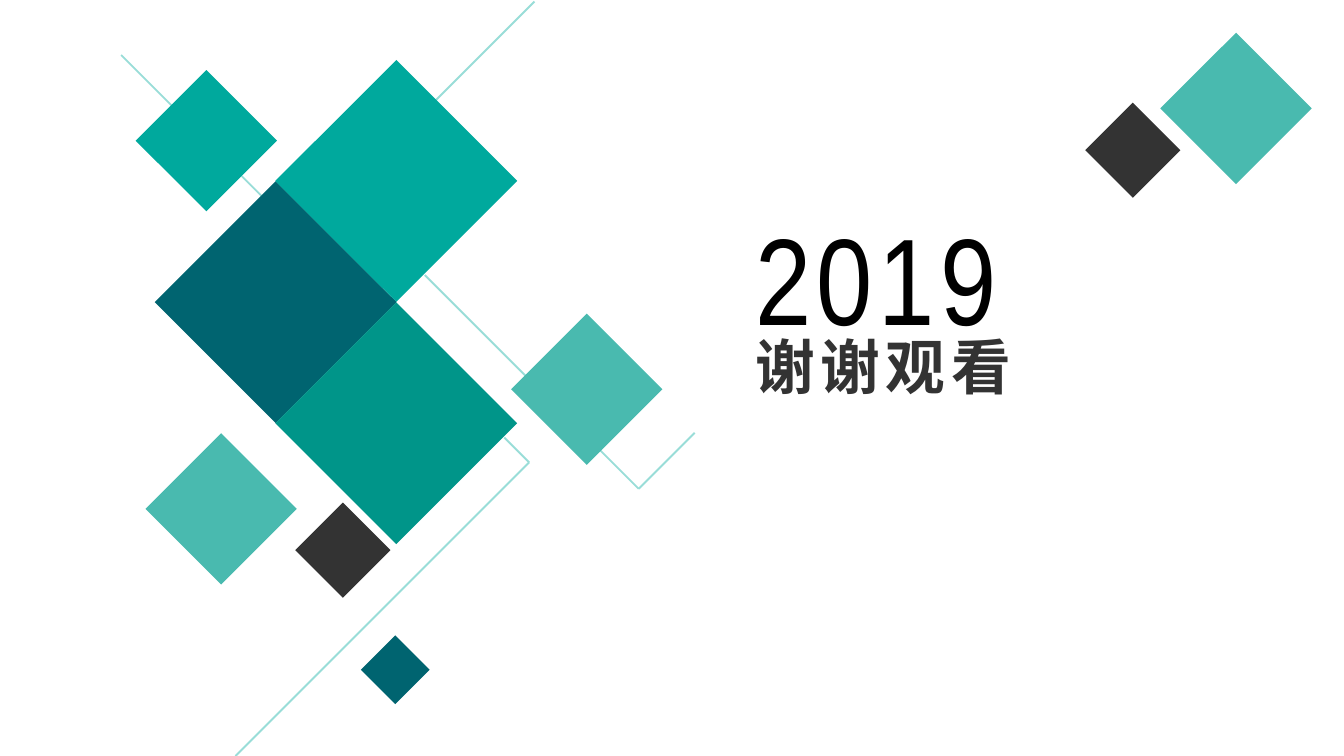
import pptx
import pptx.util
import pptx.dml.color
import pptx.enum.shapes
import pptx.enum.text
import lxml.etree

Cm = pptx.util.Cm
Pt = pptx.util.Pt
kinds = pptx.enum.shapes

theme = {
    "deep": "006470", "teal": "00A99D", "green": "009589",
    "pale": "49BAAF", "dark": "333333", "line": "99DDD8", "black": "000000",
    "year": 66, "thanks": 32, "space": 3,
    "latin": "Arial Narrow", "han": "Noto Sans CJK SC",
}


def shade(name):
    return pptx.dml.color.RGBColor.from_string(theme[name])


def write(text, *, box, size, font, color, bold=False):
    shape = slide.shapes.add_textbox(*map(Cm, box))
    frame = shape.text_frame
    frame.word_wrap = True
    frame.auto_size = pptx.enum.text.MSO_AUTO_SIZE.SHAPE_TO_FIT_TEXT
    run = frame.paragraphs[0].add_run()
    run.text = text
    run.font.size = Pt(theme[size])
    run.font.name = theme[font]
    run.font.bold = bold
    run.font.color.rgb = shade(color)
    props = run.font._element
    props.set("spc", str(theme["space"] * 100))
    east = lxml.etree.SubElement(props, pptx.oxml.ns.qn("a:ea"))
    east.set("typeface", theme[font])


deck = pptx.Presentation()
deck.slide_width = Cm(25.4)
deck.slide_height = Cm(14.29)
slide = deck.slides.add_slide(deck.slide_layouts[6])

trails = [
    [(8.03, 5.2), (12.07, 9.24), (13.13, 8.18)],
    [(10.1, 0.03), (8.23, 1.9)],
    [(9.53, 8.27), (10, 8.74), (4.45, 14.29)],
    [(4.57, 3.33), (4.94, 3.7)],
    [(2.29, 1.04), (3.25, 2)],
]
for trail in trails:
    for start, end in zip(trail, trail[1:]):
        line = slide.shapes.add_connector(
            kinds.MSO_CONNECTOR.STRAIGHT, *map(Cm, start + end))
        line.line.color.rgb = shade("line")
        line.line.width = Pt(1)
        lxml.etree.SubElement(
            line._element.spPr, pptx.oxml.ns.qn("a:effectLst"))

large, wide, mid, small, tiny = 4.57, 2.86, 2.67, 1.8, 1.3
diamonds = [
    (5.21, 5.71, large, "deep"),
    (7.49, 3.42, large, "teal"),
    (7.49, 8, large, "green"),
    (3.9, 2.66, mid, "teal"),
    (6.48, 10.4, small, "dark"),
    (11.09, 7.36, wide, "pale"),
    (4.18, 9.62, wide, "pale"),
    (7.47, 12.66, tiny, "deep"),
    (21.41, 2.84, small, "dark"),
    (23.36, 2.05, wide, "pale"),
]
for x, y, side, color in diamonds:
    shape = slide.shapes.add_shape(
        kinds.MSO_SHAPE.DIAMOND,
        Cm(x - side / 2), Cm(y - side / 2), Cm(side), Cm(side))
    shape.shadow.inherit = False
    shape.fill.solid()
    shape.fill.fore_color.rgb = shade(color)
    shape.line.fill.background()

write("谢谢观看", box=(14.02, 6.1, 11.07, 1.63), size="thanks",
      font="han", color="dark", bold=True)
write("2019", box=(14.02, 3.71, 5.77, 3.07), size="year",
      font="latin", color="black")

deck.save("out.pptx")
